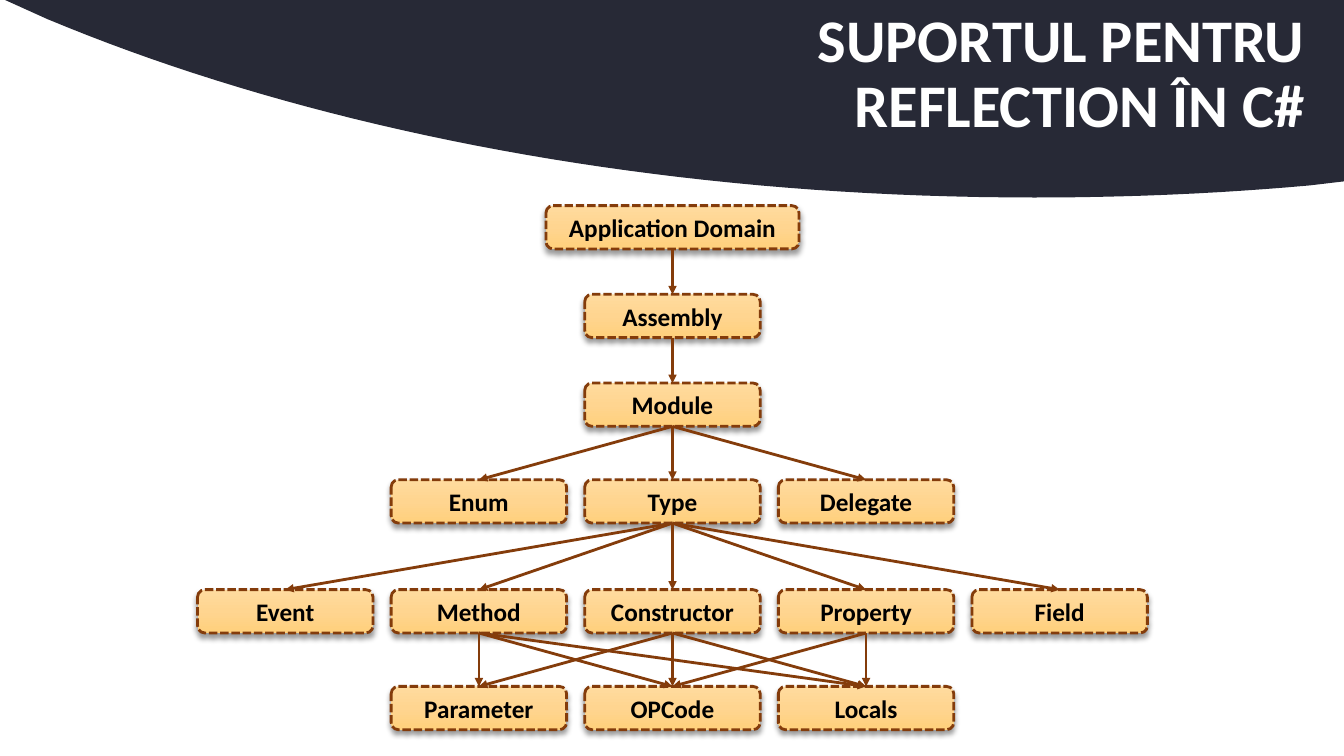
from copy import deepcopy
from dataclasses import dataclass

from lxml.etree import SubElement
from pptx import Presentation
from pptx.dml.color import RGBColor
from pptx.enum.dml import MSO_LINE
from pptx.enum.shapes import MSO_CONNECTOR, MSO_SHAPE
from pptx.enum.text import MSO_ANCHOR, PP_ALIGN
from pptx.oxml.ns import qn
from pptx.shapes.autoshape import Shape
from pptx.slide import Slide
from pptx.util import Inches, Pt


@dataclass(frozen=True)
class Theme:
    font: str = "Calibri"
    title_size: float = 43.2
    node_size: float = 18
    line_width: float = 2
    banner: RGBColor = RGBColor.from_string("272936")
    title: RGBColor = RGBColor.from_string("FFFFFF")
    label: RGBColor = RGBColor.from_string("000000")
    line: RGBColor = RGBColor.from_string("843C0B")
    node_gradient: tuple[str, ...] = ("FFDB9E", "FFD590", "FFD07C")


@dataclass(frozen=True)
class Node:
    label: str
    column: int
    top: float
    width: float = 1.74


Point = tuple[float, float]

THEME = Theme()
CENTRE, COLUMN_PITCH, NODE_HEIGHT = 6.67, 1.92, 0.43
TYPE_TOP, MEMBER_TOP, BODY_TOP = 4.76, 5.85, 6.81

NODES = [
    Node("Application Domain", 0, 2.04, 2.51),
    Node("Assembly", 0, 2.92),
    Node("Module", 0, 3.8),
    Node("Enum", -1, TYPE_TOP),
    Node("Type", 0, TYPE_TOP),
    Node("Delegate", 1, TYPE_TOP),
    Node("Event", -2, MEMBER_TOP),
    Node("Method", -1, MEMBER_TOP),
    Node("Constructor", 0, MEMBER_TOP),
    Node("Property", 1, MEMBER_TOP),
    Node("Field", 2, MEMBER_TOP),
    Node("Parameter", -1, BODY_TOP),
    Node("OPCode", 0, BODY_TOP),
    Node("Locals", 1, BODY_TOP),
]

CHILDREN = {
    "Application Domain": ["Assembly"],
    "Assembly": ["Module"],
    "Module": ["Enum", "Type", "Delegate"],
    "Type": ["Event", "Method", "Constructor", "Property", "Field"],
    "Method": ["Parameter", "OPCode", "Locals"],
    "Constructor": ["Parameter", "OPCode", "Locals"],
    "Property": ["OPCode", "Locals"],
}


def apply_format(target: object, values: dict[str, object]) -> None:
    for name, value in values.items():
        setattr(target, name, value)


def write_text(shape: Shape, text: str, size: float, color: RGBColor,
               align: PP_ALIGN, margins: dict[str, object]) -> None:
    frame = shape.text_frame
    apply_format(frame, {"word_wrap": True,
                         "vertical_anchor": MSO_ANCHOR.MIDDLE, **margins})
    paragraph = frame.paragraphs[0]
    paragraph.text = text
    paragraph.alignment = align
    for run in paragraph.runs:
        apply_format(run.font, {"name": THEME.font, "size": Pt(size), "bold": True})
        run.font.color.rgb = color


def bezier(start: Point, control_1: Point, control_2: Point, end: Point,
           steps: int = 40) -> list[Point]:
    """Points along a cubic curve, without its start."""
    points = []
    for step in range(1, steps + 1):
        t = step / steps
        weights = ((1 - t) ** 3, 3 * t * (1 - t) ** 2, 3 * t ** 2 * (1 - t), t ** 3)
        corners = (start, control_1, control_2, end)
        points.append((sum(w * x for w, (x, _) in zip(weights, corners)),
                       sum(w * y for w, (_, y) in zip(weights, corners))))
    return points


def draw_banner(slide: Slide) -> None:
    right, lowest, left = (12.99, 1.84), (10.26, 1.96), (0.47, 0.19)
    outline = [
        (13.33, 0), (13.33, 1.8), right,
        *bezier(right, (12.1, 1.92), (11.19, 1.96), lowest),
        *bezier(lowest, (6.54, 1.96), (3.13, 1.3), left),
    ]
    builder = slide.shapes.build_freeform(Inches(0.05), 0)
    builder.add_line_segments([(Inches(x), Inches(y)) for x, y in outline])
    banner = builder.convert_to_shape()
    banner.shadow.inherit = False
    banner.fill.solid()
    banner.fill.fore_color.rgb = THEME.banner
    banner.line.fill.background()


def draw_title(slide: Slide) -> None:
    title = slide.shapes.add_textbox(
        Inches(0.92), Inches(0.02), Inches(12.42), Inches(1.45))
    write_text(title, "SUPORTUL PENTRU\vREFLECTION ÎN C#", THEME.title_size,
               THEME.title, PP_ALIGN.RIGHT, {"margin_right": Inches(0.4)})
    title.text_frame.paragraphs[0].line_spacing = 0.9


def fill_gradient(box: Shape) -> None:
    """Fill from top to bottom with the theme's evenly spaced colours."""
    box.fill.gradient()
    box.fill.gradient_angle = 270
    stop_list = next(box._element.spPr.iter(qn("a:gsLst")))
    stop_list.append(deepcopy(stop_list[0]))
    last = len(THEME.node_gradient) - 1
    for index, stop in enumerate(box.fill.gradient_stops):
        stop.position = index / last
        stop.color.rgb = RGBColor.from_string(THEME.node_gradient[index])


def add_drop_shadow(box: Shape) -> None:
    box.shadow.inherit = False
    effects = box._element.spPr.find(qn("a:effectLst"))
    shadow = SubElement(effects, qn("a:outerShdw"), blurRad=str(Pt(4)),
                        dist=str(Pt(3)), dir="5400000", algn="ctr", rotWithShape="0")
    color = SubElement(shadow, qn("a:srgbClr"), val=str(THEME.label))
    SubElement(color, qn("a:alpha"), val="40000")


def draw_node(slide: Slide, node: Node) -> Shape:
    left = CENTRE + node.column * COLUMN_PITCH - node.width / 2
    box = slide.shapes.add_shape(
        MSO_SHAPE.ROUNDED_RECTANGLE, Inches(left), Inches(node.top),
        Inches(node.width), Inches(NODE_HEIGHT))
    fill_gradient(box)
    add_drop_shadow(box)
    box.line.color.rgb = THEME.line
    apply_format(box.line, {"width": Pt(THEME.line_width),
                            "dash_style": MSO_LINE.SQUARE_DOT})
    sides = ("left", "top", "right", "bottom")
    write_text(box, node.label, THEME.node_size, THEME.label, PP_ALIGN.CENTER,
               {f"margin_{side}": Inches(0.1) for side in sides})
    return box


def draw_arrow(slide: Slide, parent: Shape, child: Shape) -> None:
    arrow = slide.shapes.add_connector(MSO_CONNECTOR.STRAIGHT, 0, 0, 0, 0)
    arrow.begin_connect(parent, 2)
    arrow.end_connect(child, 0)
    arrow.line.color.rgb = THEME.line
    arrow.line.width = Pt(THEME.line_width)
    SubElement(arrow.line._get_or_add_ln(), qn("a:tailEnd"), type="triangle")
    SubElement(arrow._element.spPr, qn("a:effectLst"))


def main() -> None:
    deck = Presentation()
    deck.slide_width, deck.slide_height = Inches(13.33), Inches(7.5)
    slide = deck.slides.add_slide(deck.slide_layouts[6])
    draw_banner(slide)
    draw_title(slide)
    boxes = {node.label: draw_node(slide, node) for node in NODES}
    for parent, children in CHILDREN.items():
        for child in children:
            draw_arrow(slide, boxes[parent], boxes[child])
    deck.save("out.pptx")


if __name__ == "__main__":
    main()
